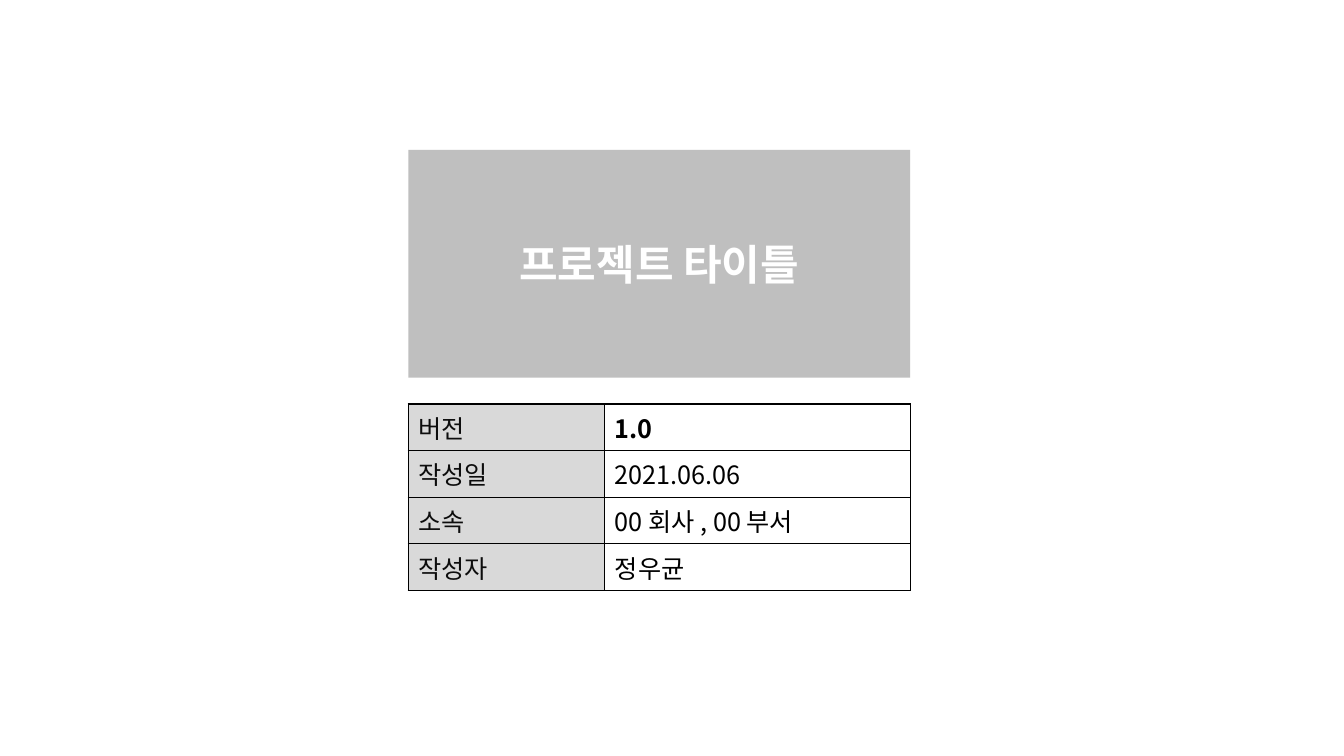
from dataclasses import dataclass

from pptx import Presentation
from pptx.dml.color import RGBColor
from pptx.enum.shapes import MSO_SHAPE as Shape
from pptx.enum.text import MSO_ANCHOR as Anchor, PP_ALIGN as Align
from pptx.oxml.ns import qn
from pptx.slide import Slide
from pptx.table import _Cell as Cell
from pptx.text.text import _Paragraph as Paragraph
from pptx.util import Cm, Pt
from lxml.etree import SubElement


@dataclass(frozen=True)
class Theme:
    font: str = "Noto Sans CJK KR"
    title_size: int = 30
    table_size: int = 18
    border_width: int = 1
    title_fill: str = "BFBFBF"
    label_fill: str = "D9D9D9"
    value_fill: str = "FFFFFF"
    title_text: str = "FFFFFF"
    label_text: str = "0D0D0D"
    value_text: str = "000000"
    border: str = "000000"


@dataclass(frozen=True)
class InfoRow:
    label: str
    value: str
    bold: bool = False


THEME = Theme()
TITLE = "프로젝트 타이틀"
INFO_ROWS = [
    InfoRow("버전", "1.0", bold=True),
    InfoRow("작성일", "2021.06.06"),
    InfoRow("소속", "00 회사 , 00 부서"),
    InfoRow("작성자", "정우균"),
]

# Layout in centimetres
LEFT = 10.29
TITLE_TOP, TITLE_HEIGHT = 3.78, 5.74
TABLE_TOP, ROW_HEIGHT = 10.18, 1.03
COLUMN_WIDTHS = (4.95, 7.7)
WIDTH = sum(COLUMN_WIDTHS)


def add_run(paragraph: Paragraph, text: str, size: int, color: str, bold: bool) -> None:
    run = paragraph.add_run()
    run.text = text
    font = run.font
    font.size = Pt(size)
    font.bold = bold
    font.color.rgb = RGBColor.from_string(color)
    font.name = THEME.font
    # Korean characters use the East Asian typeface
    SubElement(run._r.get_or_add_rPr(), qn("a:ea"), typeface=THEME.font)


def add_borders(cell: Cell) -> None:
    properties = cell._tc.get_or_add_tcPr()
    for side in ("L", "R", "T", "B"):
        line = SubElement(properties, qn(f"a:ln{side}"), w=str(Pt(THEME.border_width)))
        fill = SubElement(line, qn("a:solidFill"))
        SubElement(fill, qn("a:srgbClr"), val=THEME.border)


def fill_cell(cell: Cell, text: str, color: str, fill: str, bold: bool = False) -> None:
    add_borders(cell)
    cell.fill.solid()
    cell.fill.fore_color.rgb = RGBColor.from_string(fill)
    add_run(cell.text_frame.paragraphs[0], text, THEME.table_size, color, bold)


def add_info_table(slide: Slide, rows: list[InfoRow]) -> None:
    table = slide.shapes.add_table(
        len(rows), len(COLUMN_WIDTHS),
        Cm(LEFT), Cm(TABLE_TOP), Cm(WIDTH), Cm(ROW_HEIGHT * len(rows)),
    ).table
    table.first_row = False
    table.horz_banding = False
    for column, width in zip(table.columns, COLUMN_WIDTHS):
        column.width = Cm(width)
    for index, row in enumerate(rows):
        fill_cell(table.cell(index, 0), row.label, THEME.label_text, THEME.label_fill)
        fill_cell(table.cell(index, 1), row.value, THEME.value_text, THEME.value_fill, row.bold)


def add_title_panel(slide: Slide, text: str) -> None:
    shape = slide.shapes.add_shape(
        Shape.RECTANGLE, Cm(LEFT), Cm(TITLE_TOP), Cm(WIDTH), Cm(TITLE_HEIGHT)
    )
    shape.shadow.inherit = False
    shape.fill.solid()
    shape.fill.fore_color.rgb = RGBColor.from_string(THEME.title_fill)
    shape.line.fill.background()
    shape.text_frame.vertical_anchor = Anchor.MIDDLE
    paragraph = shape.text_frame.paragraphs[0]
    paragraph.alignment = Align.CENTER
    add_run(paragraph, text, THEME.title_size, THEME.title_text, bold=True)


def main() -> None:
    presentation = Presentation()
    presentation.slide_width = Cm(33.87)
    presentation.slide_height = Cm(19.05)
    slide = presentation.slides.add_slide(presentation.slide_layouts[6])

    # Document details, then the title panel above them
    add_info_table(slide, INFO_ROWS)
    add_title_panel(slide, TITLE)

    presentation.save("out.pptx")


if __name__ == "__main__":
    main()
